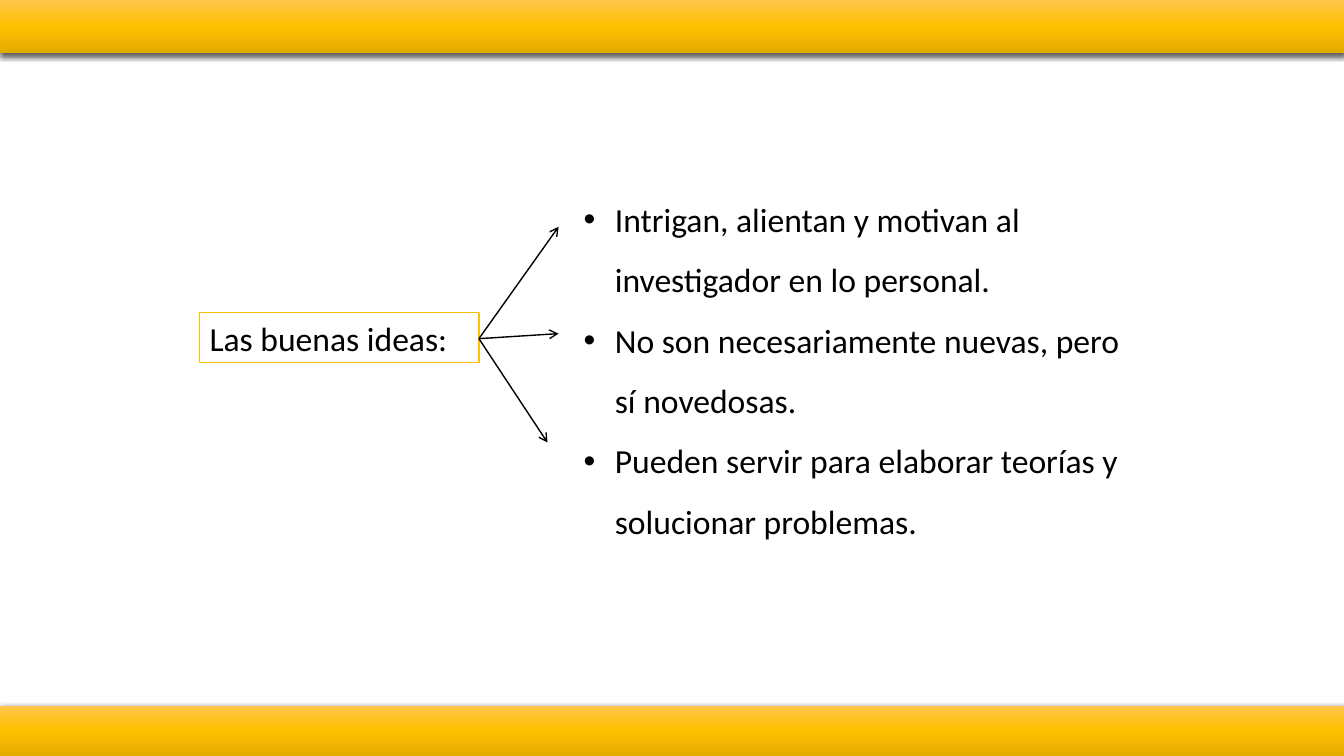
from copy import deepcopy
from dataclasses import dataclass

from lxml.etree import SubElement
from pptx import Presentation
from pptx.dml.color import RGBColor
from pptx.enum.shapes import MSO_CONNECTOR, MSO_SHAPE
from pptx.enum.text import MSO_ANCHOR, MSO_AUTO_SIZE, PP_ALIGN
from pptx.oxml.ns import qn
from pptx.util import Inches, Pt


@dataclass(frozen=True)
class Theme:
    """Colours and type of the slide."""
    font: str = "Calibri"
    text_size: float = 24
    line_width: float = 1
    text: RGBColor = RGBColor(0, 0, 0)
    paper: RGBColor = RGBColor(255, 255, 255)
    accent: RGBColor = RGBColor(0xFF, 0xC0, 0x00)
    band_light: RGBColor = RGBColor(0xFF, 0xC6, 0x4B)
    band_dark: RGBColor = RGBColor(0xE3, 0xAB, 0x00)


THEME = Theme()
SLIDE_WIDTH, SLIDE_HEIGHT = 13.33, 7.5
IDEA_LABEL = "Las buenas ideas:"
IDEA_TRAITS = (
    "Intrigan, alientan y motivan al investigador en lo personal.",
    "No son necesariamente nuevas, pero sí novedosas.",
    "Pueden servir para elaborar teorías y solucionar problemas.",
)


def add_run(paragraph, text):
    """Add one run in the theme's type."""
    run = paragraph.add_run()
    run.text = text
    run.font.name = THEME.font
    run.font.size = Pt(THEME.text_size)
    run.font.color.rgb = THEME.text


def set_bullet(paragraph, indent):
    """Give a paragraph a hanging round bullet."""
    properties = paragraph._p.get_or_add_pPr()
    properties.set("marL", str(Inches(indent)))
    properties.set("indent", str(Inches(-indent)))
    SubElement(properties, qn("a:buFont"), typeface="Arial")
    SubElement(properties, qn("a:buChar"), char="•")


def add_traits(slide, left, top, width, height):
    """Write the bulleted traits of good ideas."""
    box = slide.shapes.add_textbox(Inches(left), Inches(top), Inches(width), Inches(height))
    frame = box.text_frame
    frame.word_wrap = True
    frame.auto_size = MSO_AUTO_SIZE.SHAPE_TO_FIT_TEXT
    for index, trait in enumerate(IDEA_TRAITS):
        paragraph = frame.add_paragraph() if index else frame.paragraphs[0]
        set_bullet(paragraph, 0.31)
        paragraph.line_spacing = 1.5
        add_run(paragraph, trait)


def add_arrow(shapes, start, end):
    """Draw a thin line with an open arrowhead at its end."""
    arrow = shapes.add_connector(MSO_CONNECTOR.STRAIGHT, *map(Inches, start + end))
    arrow.line.color.rgb = THEME.text
    arrow.line.width = Pt(THEME.line_width)
    SubElement(arrow.line._get_or_add_ln(), qn("a:tailEnd"), type="arrow")
    SubElement(arrow._element.spPr, qn("a:effectLst"))


def add_idea(slide, left, top, width, height):
    """Draw the framed label and the arrows that fan out from it."""
    shapes = slide.shapes.add_group_shape().shapes
    label = shapes.add_shape(
        MSO_SHAPE.RECTANGLE, Inches(left), Inches(top), Inches(width), Inches(height))
    label.shadow.inherit = False
    label.fill.solid()
    label.fill.fore_color.rgb = THEME.paper
    label.line.color.rgb = THEME.accent
    label.line.width = Pt(THEME.line_width)
    frame = label.text_frame
    frame.word_wrap = True
    frame.auto_size = MSO_AUTO_SIZE.SHAPE_TO_FIT_TEXT
    frame.vertical_anchor = MSO_ANCHOR.TOP
    frame.paragraphs[0].alignment = PP_ALIGN.LEFT
    add_run(frame.paragraphs[0], IDEA_LABEL)
    start = (left + width, top + 0.26)
    for reach, rise in ((0.79, -1.11), (0.79, -0.05), (0.68, 1.03)):
        add_arrow(shapes, start, (start[0] + reach, start[1] + rise))


def add_band(slide, left, top, width, height):
    """Draw a golden gradient band with a soft shadow below it."""
    band = slide.shapes.add_shape(
        MSO_SHAPE.RECTANGLE, Inches(left), Inches(top), Inches(width), Inches(height))
    band.line.fill.background()
    band.fill.gradient()
    band.fill.gradient_angle = 270
    stop_list = band._element.spPr.find(".//" + qn("a:gsLst"))
    stop_list.append(deepcopy(stop_list[-1]))
    colors = (THEME.band_light, THEME.accent, THEME.band_dark)
    for stop, position, color in zip(band.fill.gradient_stops, (0, 0.5, 1), colors):
        stop.position = position
        stop.color.rgb = color
    band.shadow.inherit = False
    shadow = SubElement(
        band._element.spPr.find(qn("a:effectLst")), qn("a:outerShdw"),
        blurRad=str(Pt(4.5)), dist=str(Pt(1.5)), dir="5400000", algn="ctr", rotWithShape="0")
    shade = SubElement(shadow, qn("a:srgbClr"), val=str(THEME.text))
    SubElement(shade, qn("a:alpha"), val="63000")


def main():
    """Build the slide and save it."""
    presentation = Presentation()
    presentation.slide_width = Inches(SLIDE_WIDTH)
    presentation.slide_height = Inches(SLIDE_HEIGHT)
    slide = presentation.slides.add_slide(presentation.slide_layouts[6])
    add_traits(slide, 5.69, 1.72, 5.64, 3.74)
    add_idea(slide, 1.98, 3.1, 2.77, 0.5)
    add_band(slide, 0, 0, SLIDE_WIDTH, 0.53)
    add_band(slide, 0, 7, SLIDE_WIDTH, 0.5)
    presentation.save("out.pptx")


if __name__ == "__main__":
    main()
